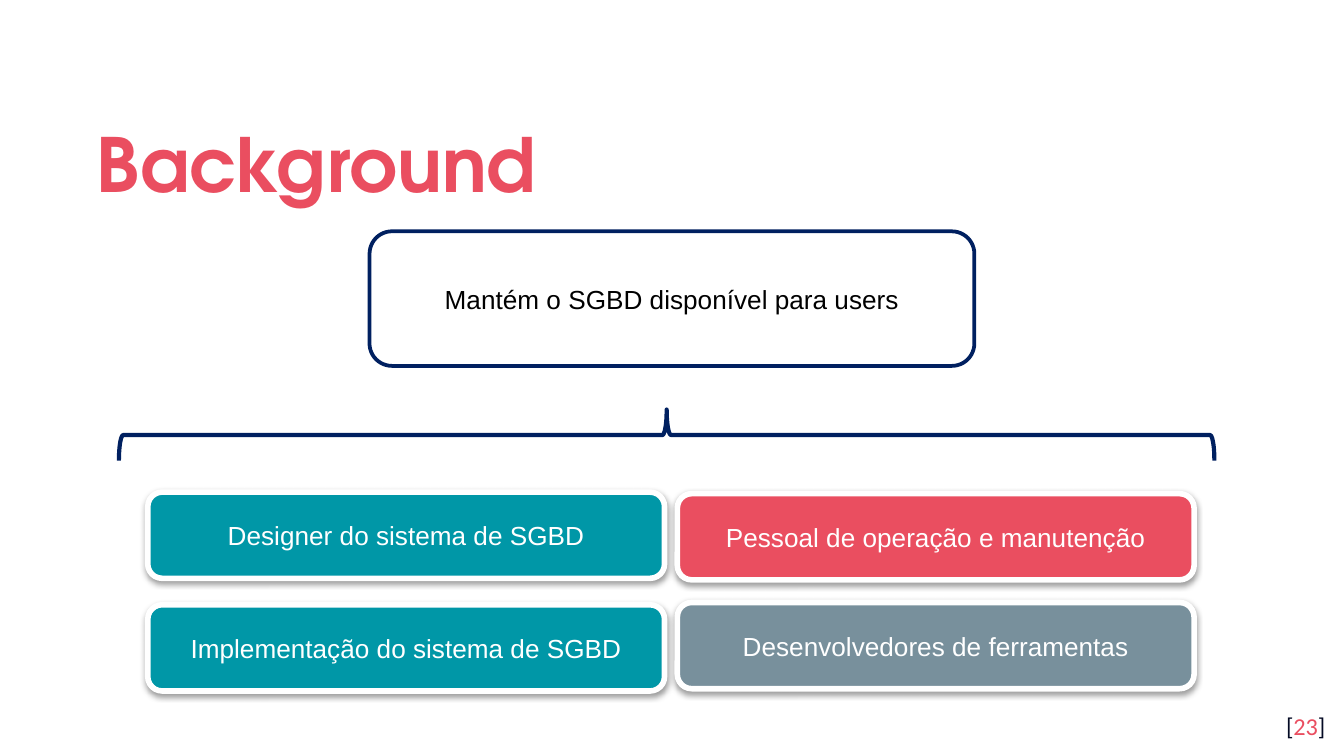
"""Build the Background slide: four support roles braced under one shared task."""
from dataclasses import dataclass

from lxml.etree import SubElement
from pptx import Presentation
from pptx.dml.color import RGBColor as RGB
from pptx.enum.shapes import MSO_SHAPE as Form
from pptx.enum.text import MSO_ANCHOR as Anchor, MSO_AUTO_SIZE as Fit, PP_ALIGN as Align
from pptx.oxml.ns import qn
from pptx.util import Inches, Pt


@dataclass(frozen=True)
class Theme:
    red: str = "EA4E60"
    teal: str = "0097A7"
    gray: str = "78909C"
    navy: str = "002060"
    ink: str = "040A24"
    white: str = "FFFFFF"
    black: str = "000000"
    head: str = "TeX Gyre Adventor"
    body: str = "Arial"
    foot: str = "Calibri"
    big: int = 40
    mid: int = 14
    low: int = 13


look = Theme()
deck = Presentation()
deck.slide_width, deck.slide_height = Inches(10), Inches(5.625)
col, row = deck.slide_width / 100, deck.slide_height / 100
page = deck.slides.add_slide(deck.slide_layouts[5])


def write(shape, *parts, font=look.body, size=look.mid, bold=False,
          align=Align.CENTER, anchor=Anchor.MIDDLE, lead=1.0, pad=0.05):
    frame = shape.text_frame
    frame.word_wrap, frame.auto_size = True, Fit.NONE
    frame.vertical_anchor = anchor
    frame.margin_left = frame.margin_right = Inches(0.1)
    frame.margin_top = frame.margin_bottom = Inches(pad)
    para = frame.paragraphs[0]
    para.alignment, para.line_spacing = align, lead
    for text, color in parts:
        run = para.add_run()
        run.text = text
        run.font.name, run.font.size, run.font.bold = font, Pt(size), bold
        run.font.color.rgb = RGB.from_string(color)


def draw(form, x, y, wide, high, line, width, fill=None):
    shape = page.shapes.add_shape(
        form, *(int(n) for n in (x * col, y * row, wide * col, high * row)))
    shape.shadow.inherit = False
    shape.line.color.rgb = RGB.from_string(line)
    shape.line.width = Pt(width)
    if fill:
        shape.fill.solid()
        shape.fill.fore_color.rgb = RGB.from_string(fill)
    else:
        shape.fill.background()
    return shape


title = page.shapes.title
title.left, title.top = int(6.2 * col), int(12.4 * row)
title.width, title.height = int(87.7 * col), int(16.4 * row)
write(title, ("Background", look.red), font=look.head, size=look.big, bold=True,
      align=Align.LEFT, lead=1.15, pad=0.1)

number = page.shapes.add_textbox(
    int(93.6 * col), int(92.3 * row), int(6 * col), int(7.7 * row))
write(number, ("[", look.ink), ("23", look.red), ("]", look.ink), font=look.foot,
      size=look.low, align=Align.RIGHT, anchor=Anchor.TOP, pad=0.1)

roles = [
    ("Designer do sistema de SGBD", 11, 65.1, look.teal),
    ("Implementação do sistema de SGBD", 11, 80, look.teal),
    ("Pessoal de operação e manutenção", 50.4, 65.3, look.red),
    ("Desenvolvedores de ferramentas", 50.4, 79.7, look.gray),
]
for text, x, y, fill in roles:
    card = draw(Form.ROUNDED_RECTANGLE, x, y, 38.45, 11.4, look.white, 3, fill)
    glow = card._element.spPr.find(qn("a:effectLst"))
    shade = SubElement(glow, qn("a:outerShdw"), blurRad=str(Pt(3.1)),
                       dist=str(Pt(1.6)), dir="5400000", rotWithShape="0")
    tint = SubElement(shade, qn("a:srgbClr"), val=look.black)
    SubElement(tint, qn("a:alpha"), val="38000")
    write(card, (text, look.white))

brace = draw(Form.LEFT_BRACE, 47.7, -14.9, 3.8, 144.9, look.navy, 2.25)
brace.rotation = 90

task = draw(Form.ROUNDED_RECTANGLE, 27.5, 30.6, 45, 17.8, look.navy, 2, look.white)
write(task, ("Mantém o SGBD disponível para users", look.black))

deck.save("out.pptx")
